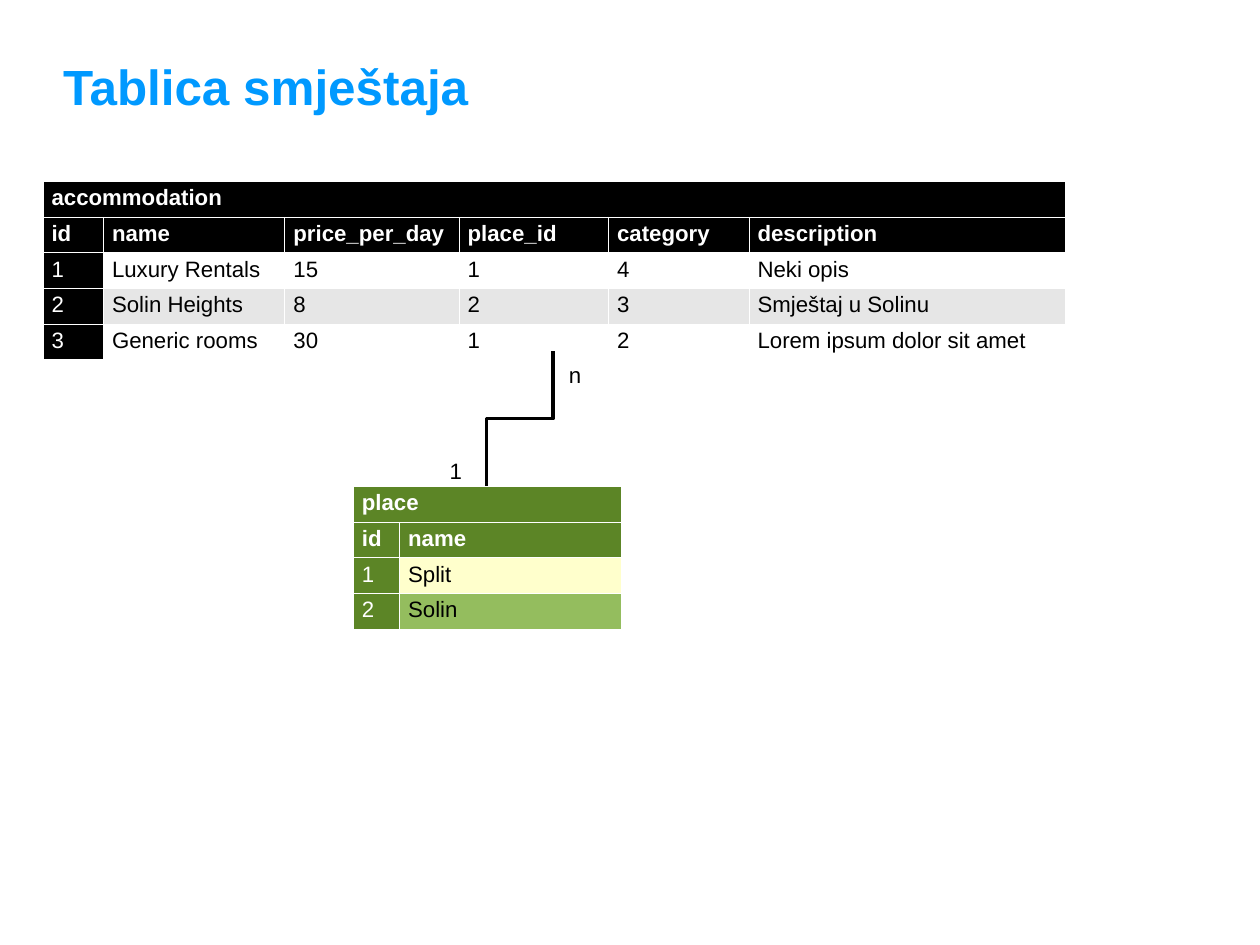
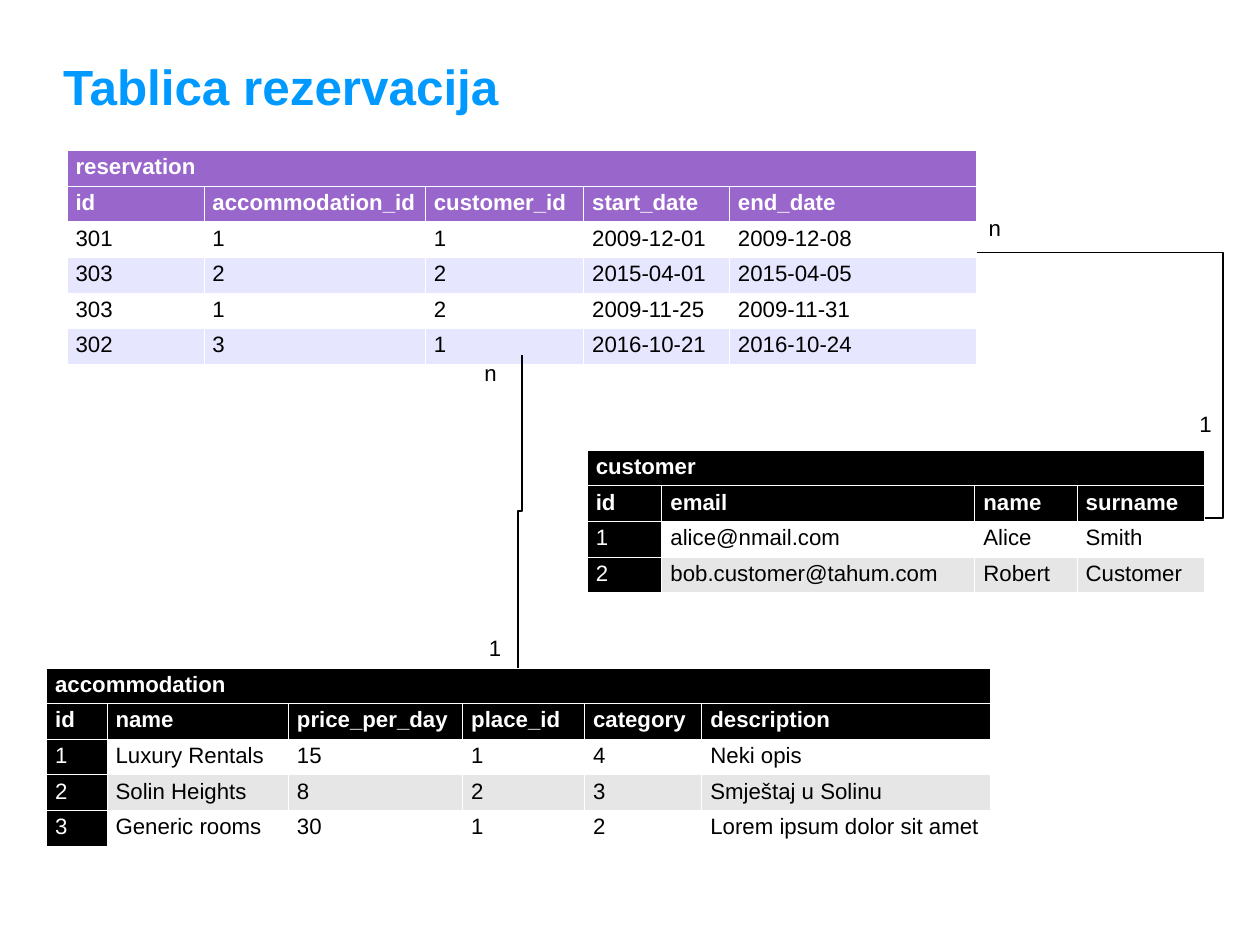
from dataclasses import dataclass

from lxml.etree import SubElement
from pptx import Presentation
from pptx.dml.color import RGBColor
from pptx.enum.shapes import MSO_CONNECTOR as Connector
from pptx.enum.text import MSO_ANCHOR as Anchor, MSO_AUTO_SIZE as AutoSize
from pptx.oxml.ns import qn
from pptx.util import Inches, Pt


@dataclass(frozen=True)
class Theme:
    font: str = "Arial"
    title_size: int = 40
    body_size: int = 18
    title: str = "0099FF"
    light: str = "FFFFFF"
    dark: str = "000000"
    border_width: float = 0.06
    row_height: float = 0.38


@dataclass(frozen=True)
class TableStyle:
    header: str
    odd_row: str
    even_row: str
    key_column: bool = True  # first column takes the header colour
    header_rules: bool = False  # lines below the header rows


BLACK = TableStyle("000000", "FFFFFF", "E6E6E6")
GREEN = TableStyle("5C8526", "FFFFCC", "94BD5E")
PURPLE = TableStyle("9966CC", "FFFFFF", "E6E6FF", key_column=False, header_rules=True)

NO_STYLE_NO_GRID = "{2D5ABB26-0587-4C30-8999-92F81FD0307C}"
HEADER_ROWS = 2

ACCOMMODATION = [
    ["id", "name", "price_per_day", "place_id", "category", "description"],
    ["1", "Luxury Rentals", "15", "1", "4", "Neki opis"],
    ["2", "Solin Heights", "8", "2", "3", "Smještaj u Solinu"],
    ["3", "Generic rooms", "30", "1", "2", "Lorem ipsum dolor sit amet"],
]
PLACE = [["id", "name"], ["1", "Split"], ["2", "Solin"]]
RESERVATION = [
    ["id", "accommodation_id", "customer_id", "start_date", "end_date"],
    ["301", "1", "1", "2009-12-01", "2009-12-08"],
    ["303", "2", "2", "2015-04-01", "2015-04-05"],
    ["303", "1", "2", "2009-11-25", "2009-11-31"],
    ["302", "3", "1", "2016-10-21", "2016-10-24"],
]
CUSTOMER = [
    ["id", "email", "name", "surname"],
    ["1", "alice@nmail.com", "Alice", "Smith"],
    ["2", "bob.customer@tahum.com", "Robert", "Customer"],
]


class Deck:
    def __init__(self, theme):
        self.theme = theme
        self.presentation = Presentation()
        self.presentation.slide_width = Inches(14.17)
        self.presentation.slide_height = Inches(10.63)
        self.slide = None

    def add_slide(self, title):
        layout = self.presentation.slide_layouts[6]
        self.slide = self.presentation.slides.add_slide(layout)
        frame = self.text_box(0.71, 0.47, 10.16, 0.99)
        frame.vertical_anchor = Anchor.MIDDLE
        frame.margin_left = frame.margin_right = 0
        frame.margin_top = frame.margin_bottom = 0
        self.add_text(frame, title, self.theme.title, True, self.theme.title_size)

    def text_box(self, left, top, width, height):
        box = self.slide.shapes.add_textbox(
            Inches(left), Inches(top), Inches(width), Inches(height))
        frame = box.text_frame
        frame.word_wrap = True
        frame.auto_size = AutoSize.SHAPE_TO_FIT_TEXT
        return frame

    def add_text(self, frame, text, color, bold=False, size=None):
        run = frame.paragraphs[0].add_run()
        run.text = text
        run.font.name = self.theme.font
        run.font.size = Pt(size or self.theme.body_size)
        run.font.bold = bold
        run.font.color.rgb = RGBColor.from_string(color)

    def cardinality(self, text, left, top):
        """Label one end of a relation with n or 1."""
        width = 0.55 if text == "n" else 0.47
        self.add_text(self.text_box(left, top, width, 0.38), text, self.theme.dark)

    def table(self, name, rows, left, top, widths, style):
        """Draw a database table: its name, the field names, then the records."""
        grid = [[name] + [""] * (len(widths) - 1)] + rows
        frame = self.slide.shapes.add_table(
            len(grid), len(widths), Inches(left), Inches(top),
            Inches(sum(widths)), Inches(self.theme.row_height * len(grid)))
        table = frame.table
        table.first_row = table.horz_banding = False
        table._tbl.tblPr.find(qn("a:tableStyleId")).text = NO_STYLE_NO_GRID
        for column, width in zip(table.columns, widths):
            column.width = Inches(width)
        for row in table.rows:
            row.height = Inches(self.theme.row_height)
        for r, values in enumerate(grid):
            for c, value in enumerate(values):
                self.cell(table.cell(r, c), value, r, c, style)
        table.cell(0, 0).merge(table.cell(0, len(widths) - 1))

    def cell(self, cell, value, row, column, style):
        is_header = row < HEADER_ROWS
        is_dark = is_header or (style.key_column and column == 0)
        if is_header:
            sides = "LRTB" if style.header_rules else "LRT"
        else:
            sides = "LRB" if row == HEADER_ROWS else "LRTB"
        self.borders(cell, sides)
        band = style.even_row if row % 2 else style.odd_row
        cell.fill.solid()
        cell.fill.fore_color.rgb = RGBColor.from_string(
            style.header if is_dark else band)
        if value:
            color = self.theme.light if is_dark else self.theme.dark
            self.add_text(cell.text_frame, value, color, is_header)

    def borders(self, cell, sides):
        properties = cell._tc.get_or_add_tcPr()
        for side in sides:
            line = SubElement(properties, qn(f"a:ln{side}"),
                              w=str(Pt(self.theme.border_width)))
            fill = SubElement(line, qn("a:solidFill"))
            SubElement(fill, qn("a:srgbClr"), val=self.theme.light)

    def relation(self, start, end, weight=1.5, bend=0.5, vertical=False):
        """Join two points by an elbow; a vertical one leaves its start downwards."""
        (x1, y1), (x2, y2) = start, end
        if vertical:
            middle_x, middle_y = (x1 + x2) / 2, (y1 + y2) / 2
            half_x, half_y = (y2 - y1) / 2, (x1 - x2) / 2
            x1, y1 = middle_x - half_x, middle_y - half_y
            x2, y2 = middle_x + half_x, middle_y + half_y
        connector = self.slide.shapes.add_connector(
            Connector.ELBOW, Inches(x1), Inches(y1), Inches(x2), Inches(y2))
        connector.line.color.rgb = RGBColor.from_string(self.theme.dark)
        connector.line.width = Pt(weight)
        properties = connector._element.spPr
        if vertical:
            properties.find(qn("a:xfrm")).set("rot", str(90 * 60000))
        geometry = properties.find(qn("a:prstGeom"))
        adjustments = geometry.find(qn("a:avLst"))
        if adjustments is None:
            adjustments = SubElement(geometry, qn("a:avLst"))
        SubElement(adjustments, qn("a:gd"), name="adj1",
                   fmla=f"val {round(bend * 100000)}")
        SubElement(properties, qn("a:effectLst"))


def accommodation_slide(deck):
    deck.add_slide("Tablica smještaja")
    deck.table("accommodation", ACCOMMODATION, 0.48, 2.04,
               [0.68, 2.04, 1.96, 1.68, 1.58, 3.56], BLACK)
    deck.table("place", PLACE, 3.97, 5.47, [0.52, 2.49], GREEN)
    deck.relation((6.22, 3.95), (5.47, 5.47), weight=2.83, vertical=True)
    deck.cardinality("n", 6.3, 4.02)
    deck.cardinality("1", 4.96, 5.09)


def reservation_slide(deck):
    deck.add_slide("Tablica rezervacija")
    deck.table("reservation", RESERVATION, 0.75, 1.69,
               [1.54, 2.49, 1.78, 1.64, 2.78], PURPLE)
    deck.table("accommodation", ACCOMMODATION, 0.52, 7.51,
               [0.68, 2.04, 1.96, 1.37, 1.32, 3.25], BLACK)
    deck.table("customer", CUSTOMER, 6.6, 5.06, [0.84, 3.52, 1.15, 1.43], BLACK)
    deck.relation((5.87, 3.99), (5.83, 7.51), vertical=True)
    deck.relation((10.99, 2.84), (13.55, 5.83), bend=1.08)
    for text, left, top in [("n", 5.35, 3.99), ("n", 11.02, 2.36),
                            ("1", 5.4, 7.09), ("1", 13.39, 4.57)]:
        deck.cardinality(text, left, top)


def main():
    deck = Deck(Theme())
    accommodation_slide(deck)
    reservation_slide(deck)
    deck.presentation.save("out.pptx")


if __name__ == "__main__":
    main()
